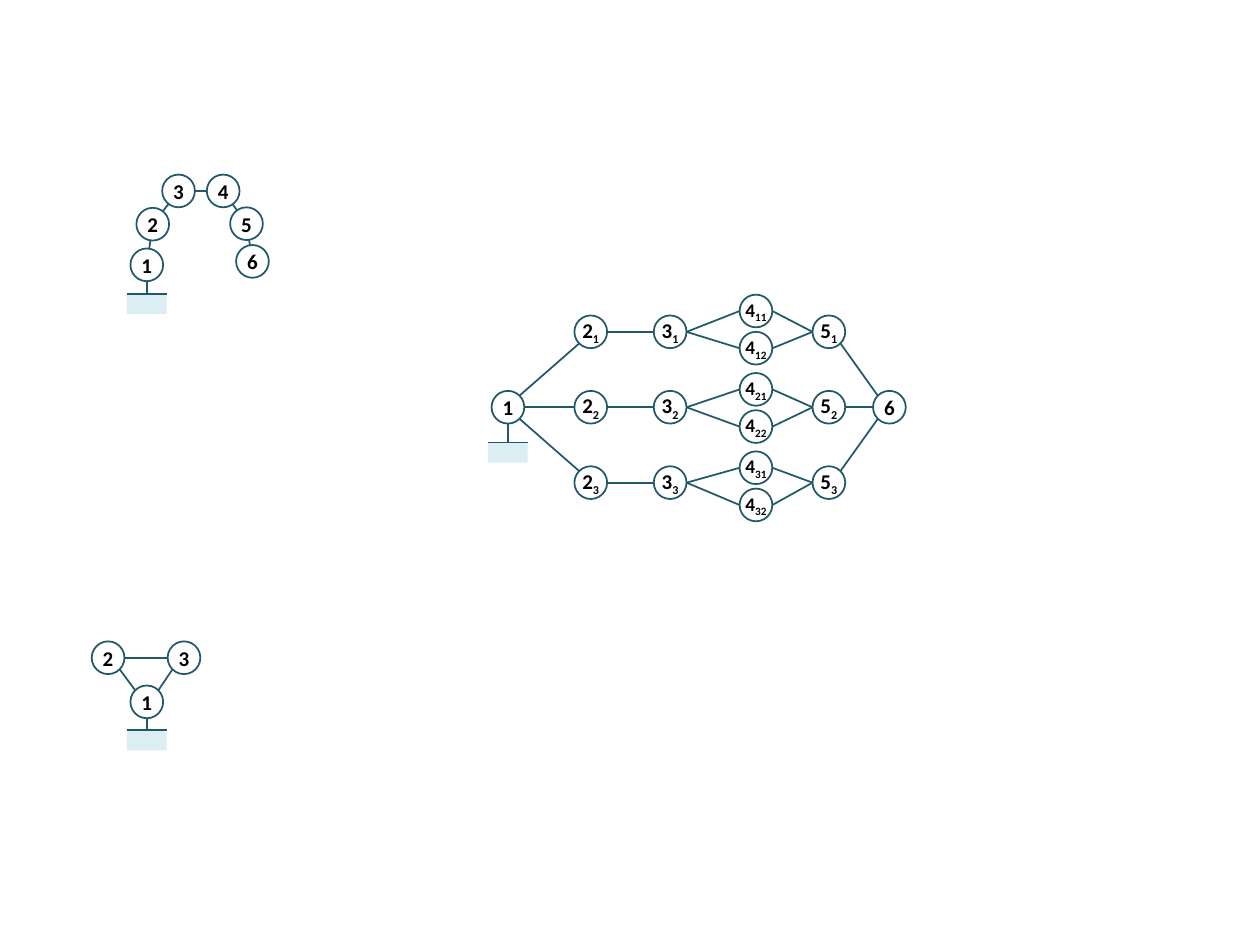
from math import sqrt

from pptx import Presentation
from pptx.dml.color import RGBColor
from pptx.enum.shapes import MSO_CONNECTOR as Line, MSO_SHAPE as Shape
from pptx.enum.text import MSO_ANCHOR as Anchor, PP_ALIGN as Align
from pptx.oxml.xmlchemy import OxmlElement
from pptx.util import Cm, Pt

TEAL, PALE, WHITE, BLACK = "215968", "DBEEF4", "FFFFFF", "000000"
RAD = 0.33  # node radius, cm
DIAG = RAD / sqrt(2)
SIDES = {
    "C": (0, 0), "E": (RAD, 0), "W": (-RAD, 0), "S": (0, RAD),
    "NE": (DIAG, -DIAG), "NW": (-DIAG, -DIAG),
    "SE": (DIAG, DIAG), "SW": (-DIAG, DIAG),
}


def color(code):
    return RGBColor.from_string(code)


def rim(spot, side):
    """Point on a node's edge, or its centre for side C."""
    dx, dy = SIDES[side]
    return spot[0] + dx, spot[1] + dy


def add_line(slide, start, end):
    line = slide.shapes.add_connector(
        Line.STRAIGHT, Cm(start[0]), Cm(start[1]), Cm(end[0]), Cm(end[1]))
    line.line.color.rgb = color(TEAL)
    line.line.width = Pt(1)
    line._element.spPr.append(OxmlElement("a:effectLst"))


def add_link(slide, a, side_a, b, side_b):
    add_line(slide, rim(a, side_a), rim(b, side_b))


def add_node(slide, spot, label, sub="", size=12):
    node = slide.shapes.add_shape(
        Shape.OVAL, Cm(spot[0] - RAD), Cm(spot[1] - RAD),
        Cm(2 * RAD), Cm(2 * RAD))
    node.shadow.inherit = False
    node.fill.solid()
    node.fill.fore_color.rgb = color(WHITE)
    node.line.color.rgb = color(TEAL)
    node.line.width = Pt(1)
    frame = node.text_frame
    frame.margin_left = frame.margin_right = 0
    frame.margin_top = frame.margin_bottom = 0
    frame.vertical_anchor = Anchor.MIDDLE
    frame.word_wrap = False
    para = frame.paragraphs[0]
    para.text = label
    para.alignment = Align.CENTER
    if sub:
        run = para.add_run()
        run.text = sub
        run._r.get_or_add_rPr().set("baseline", "-25000")
    for run in para.runs:
        run.font.name = "Calibri"
        run.font.size = Pt(size)
        run.font.bold = True
        run.font.color.rgb = color(BLACK)


def add_ground(slide, root, stem):
    """Stem below the root node, standing on a shaded block."""
    x, foot = rim(root, "S")
    top, half = foot + stem, 0.4
    add_line(slide, (x, foot), (x, top))
    block = slide.shapes.add_shape(
        Shape.RECTANGLE, Cm(x - half), Cm(top), Cm(2 * half), Cm(0.41))
    block.shadow.inherit = False
    block.fill.solid()
    block.fill.fore_color.rgb = color(PALE)
    block.line.fill.background()
    add_line(slide, (x + half, top), (x - half, top))


def add_chain(slide, left, top):
    places = [(0.4, 1.82), (0.52, 1), (1.04, 0.33),
              (1.94, 0.33), (2.41, 0.99), (2.53, 1.75)]
    spots = [(left + x, top + y) for x, y in places]
    add_ground(slide, spots[0], 0.25)
    for a, b in zip(spots, spots[1:]):
        add_link(slide, a, "C", b, "C")
    for num, spot in enumerate(spots, 1):
        add_node(slide, spot, str(num))


def add_loop(slide, left, top):
    places = [(1.11, 1.22), (0.33, 0.33), (1.86, 0.33)]
    one, two, three = spots = [(left + x, top + y) for x, y in places]
    add_ground(slide, one, 0.24)
    add_link(slide, one, "NW", two, "SE")
    add_link(slide, one, "NE", three, "SW")
    add_link(slide, three, "W", two, "E")
    for num, spot in enumerate(spots, 1):
        add_node(slide, spot, str(num))


def add_tree(slide, left, top):
    cols = [left + x for x in (0.4, 2.07, 3.67, 5.4, 6.87, 8.09)]
    rows = [top + 0.75 + 1.52 * i for i in range(3)]
    root, goal = (cols[0], rows[1]), (cols[5], rows[1])
    add_ground(slide, root, 0.38)
    add_node(slide, root, "1")
    add_node(slide, goal, "6")

    # One branch per row, splitting in two at the fourth column
    fans = [("NE", "SW", "SE", "NW"), ("E", "W", "E", "W"),
            ("SE", "NW", "NE", "SW")]
    for i, (y, fan) in enumerate(zip(rows, fans)):
        two, three, five = [(cols[c], y) for c in (1, 2, 4)]
        for label, spot in (("2", two), ("3", three), ("5", five)):
            add_node(slide, spot, label, str(i + 1))
        add_link(slide, root, fan[0], two, fan[1])
        add_link(slide, two, "E", three, "W")
        add_link(slide, five, fan[2], goal, fan[3])
        for j in range(2):
            four = cols[3], top + 0.33 + 1.58 * i + 0.75 * j
            add_node(slide, four, "4", f"{i + 1}{j + 1}", 11)
            add_link(slide, three, "E", four, "W")
            add_link(slide, four, "E", five, "W")


def main():
    deck = Presentation()
    deck.slide_width, deck.slide_height = Cm(25.4), Cm(19.05)
    slide = deck.slides.add_slide(deck.slide_layouts[6])
    add_chain(slide, 2.56, 3.52)
    add_loop(slide, 1.85, 12.93)
    add_tree(slide, 9.84, 5.94)
    deck.save("out.pptx")


if __name__ == "__main__":
    main()
